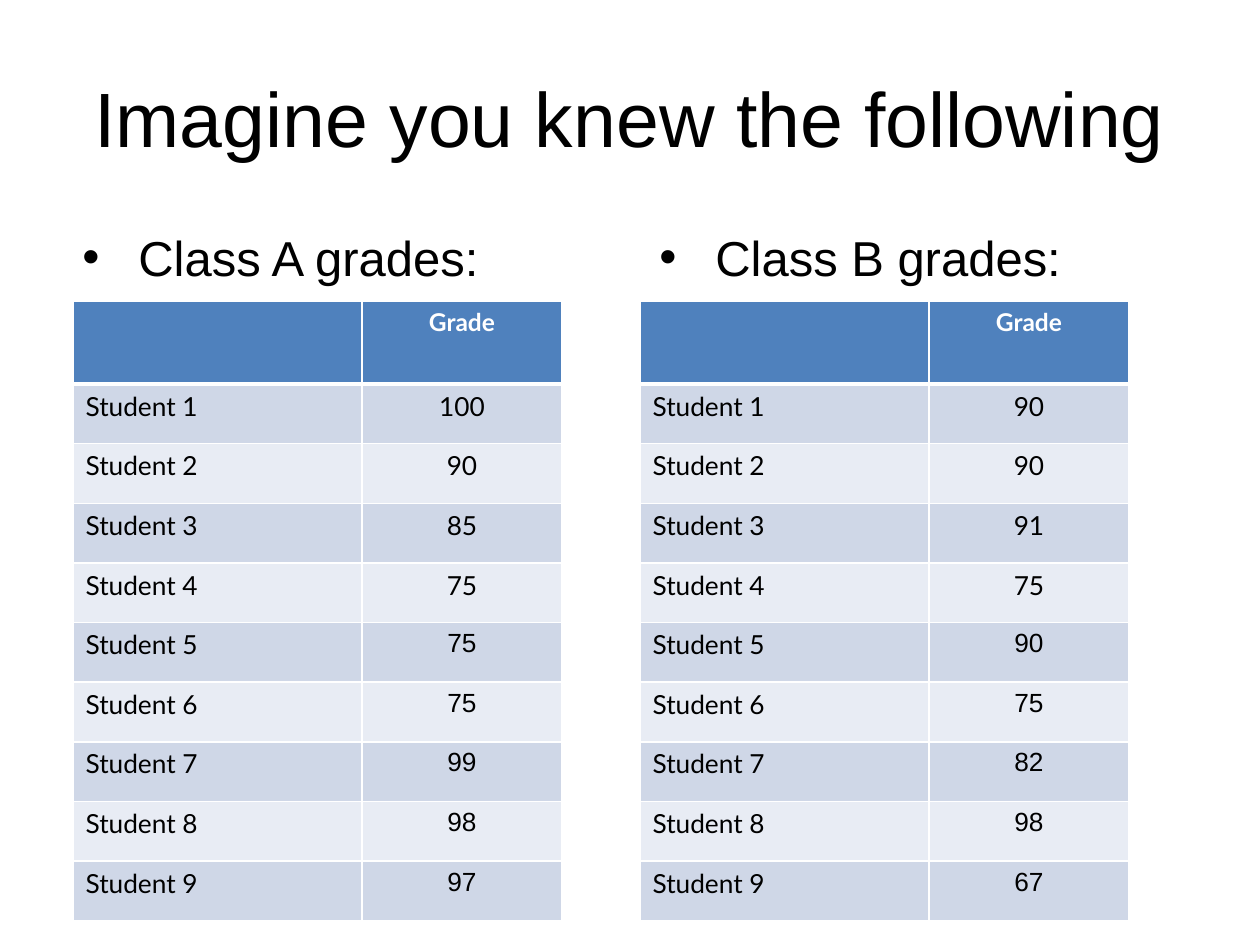
from dataclasses import dataclass

from lxml.etree import SubElement
from pptx import Presentation
from pptx.dml.color import RGBColor
from pptx.enum.text import MSO_ANCHOR as Anchor, PP_ALIGN as Align
from pptx.oxml.ns import qn
from pptx.util import Emu, Pt


@dataclass(frozen=True)
class Theme:
    ink: str = "000000"
    paper: str = "FFFFFF"
    header: str = "4F81BD"
    bands: tuple = ("CFD7E7", "E8ECF4")
    text_font: str = "Arial"
    table_font: str = "Lato"
    title_size: int = 44
    bullet_size: int = 28
    header_size: int = 14
    cell_size: int = 15


THEME = Theme()
EMU_PER_PX = 914400 / 126
CLASSES = {
    "A": (100, 90, 85, 75, 75, 75, 99, 98, 97),
    "B": (90, 90, 91, 75, 90, 75, 82, 98, 67),
}
LATO_GRADES = 4  # grades after these are set in the text font


def px(length):
    return Emu(round(length * EMU_PER_PX))


def style(para, font, size, color=THEME.ink, bold=False, align=Align.LEFT):
    para.alignment = align
    para.font.name = font
    para.font.size = Pt(size)
    para.font.bold = bold
    para.font.color.rgb = RGBColor.from_string(color)


def add_text(page, box, text, anchor=Anchor.TOP):
    frame = page.shapes.add_textbox(*map(px, box)).text_frame
    frame.word_wrap = True
    frame.vertical_anchor = anchor
    para = frame.paragraphs[0]
    para.text = text
    return para


def add_title(page, box, text):
    para = add_text(page, box, text, Anchor.MIDDLE)
    style(para, THEME.text_font, THEME.title_size, align=Align.CENTER)


def add_bullet(page, box, text):
    para = add_text(page, box, text)
    props = para._p.get_or_add_pPr()
    props.set("marL", str(px(63)))
    props.set("indent", str(-px(56)))
    color = SubElement(props, qn("a:buClr"))
    SubElement(color, qn("a:srgbClr"), val=THEME.ink)
    SubElement(props, qn("a:buFont"), typeface=THEME.text_font)
    SubElement(props, qn("a:buChar"), char="•")
    style(para, THEME.text_font, THEME.bullet_size)


def set_borders(cell, **widths):
    props = cell._tc.get_or_add_tcPr()
    for side in "LRTB":
        line = SubElement(props, qn(f"a:ln{side}"), w=str(Pt(widths.get(side, 1))))
        fill = SubElement(line, qn("a:solidFill"))
        SubElement(fill, qn("a:srgbClr"), val=THEME.paper)


def add_grades(page, box, grades):
    left, top, width, height = box
    name_width, header_height = 289, 83
    table = page.shapes.add_table(len(grades) + 1, 2, *map(px, box)).table
    table.columns[0].width = px(name_width)
    table.columns[1].width = px(width - name_width)

    rows = [("", "Grade")]
    rows += [(f"Student {n}", str(grade)) for n, grade in enumerate(grades, 1)]
    for r, values in enumerate(rows):
        row_height = (height - header_height) / len(grades) if r else header_height
        table.rows[r].height = px(row_height)
        for c, value in enumerate(values):
            cell = table.cell(r, c)
            set_borders(cell, T=3 if r == 1 else 1, B=1 if r else 3)
            cell.fill.solid()
            fill = THEME.bands[(r - 1) % 2] if r else THEME.header
            cell.fill.fore_color.rgb = RGBColor.from_string(fill)
            cell.text = value
            para = cell.text_frame.paragraphs[0]
            align = Align.CENTER if c else Align.LEFT
            if r == 0:
                style(para, THEME.table_font, THEME.header_size, THEME.paper, True, align)
            else:
                plain = c == 1 and r > LATO_GRADES
                font = THEME.text_font if plain else THEME.table_font
                style(para, font, THEME.cell_size, align=align)


def main():
    deck = Presentation()
    deck.slide_width, deck.slide_height = px(1260), px(945)
    page = deck.slides.add_slide(deck.slide_layouts[6])

    # Title
    add_title(page, (63, 38, 1134, 157), "Imagine you knew the following")

    # One bullet and one grade table for each class
    for (name, grades), bullet_left, table_left in zip(CLASSES.items(), (63, 640), (73, 640)):
        add_bullet(page, (bullet_left, 221, 557, 624), f"Class {name} grades:")
        add_grades(page, (table_left, 301, 489, 620), grades)

    deck.save("out.pptx")


if __name__ == "__main__":
    main()
